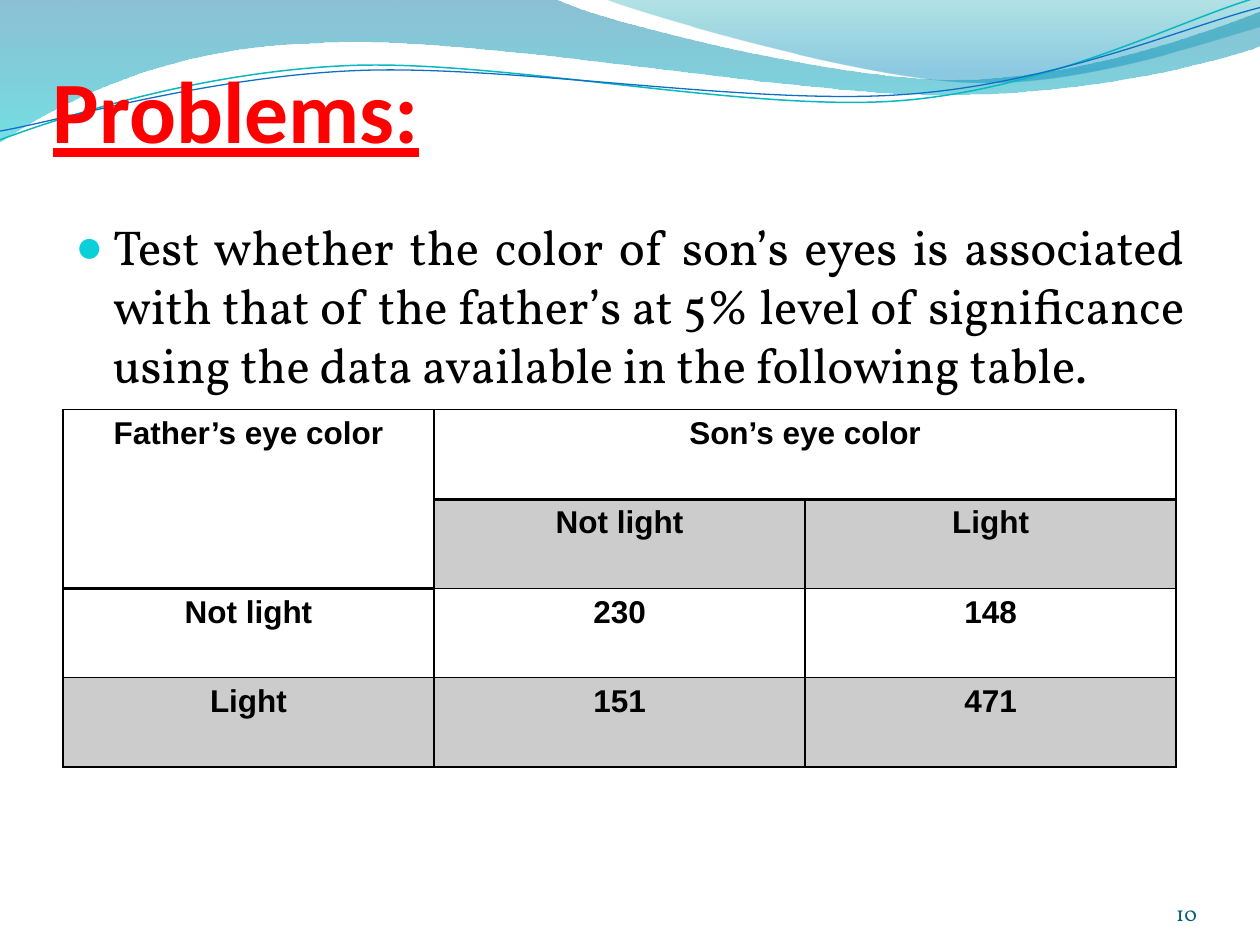
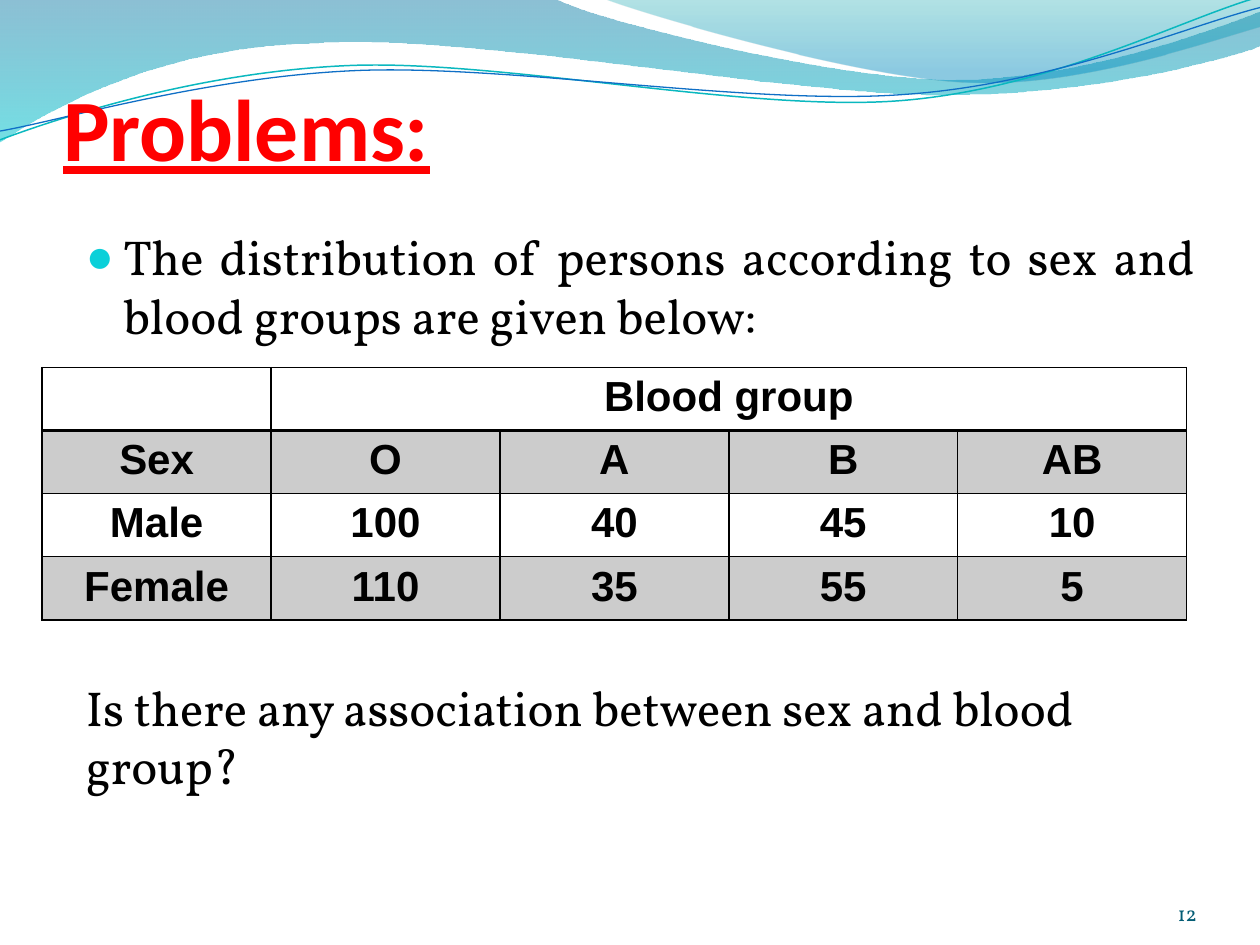
"""Two problem slides: a wave header, a justified task and a contingency table."""
from math import cos, radians, sin

from lxml import etree
from pptx import Presentation
from pptx.dml.color import RGBColor
from pptx.enum.text import MSO_ANCHOR, MSO_AUTO_SIZE, PP_ALIGN
from pptx.oxml.ns import qn
from pptx.util import Cm, Pt

LEFT, CENTER = PP_ALIGN.LEFT, PP_ALIGN.CENTER
RIGHT, JUSTIFY = PP_ALIGN.RIGHT, PP_ALIGN.JUSTIFY
TOP, BOTTOM = MSO_ANCHOR.TOP, MSO_ANCHOR.BOTTOM
NO_AUTOSIZE = MSO_AUTO_SIZE.NONE

BLACK, RED, TEAL, AQUA = "000000", "FF0000", "045D75", "0BD0D9"
SERIF, HEADING, GRID = "Vollkorn", "Calibri", "Arial"
PAGE_NUMBER_BOX = (22.02, 17.65, 2.11, 1.02)
TITLE_ONLY = 5
UNIT = 2.54  # centimetres in one unit of the wave coordinates
TILT = 357.3
TILT_CENTER = (4.99, 0.58)

# Each wave is a start point, then line ends (2 numbers) or Bezier parts (6).
BROAD_WAVE = [(0, 0), (4.4, -0.01), (4.76, 0.17, 6.64, 0.63, 7.58, 0.63),
              (8.53, 0.63, 9.58, 0.26, 10, 0.09), (10.01, 0.36),
              (9.83, 0.44, 8.7, 0.76, 7.46, 0.75),
              (6.22, 0.75, 3.82, 0.28, 2.57, 0.34),
              (1.29, 0.36, 0.46, 0.83, -0.01, 1.13), (0, 0)]
RIGHT_WAVE = [(4.79, -0.01), (5.09, 0.11, 6.82, 0.62, 7.69, 0.65),
              (8.56, 0.69, 9.61, 0.32, 10, 0.21), (10, 0), (4.79, -0.01)]
TEAL_LINE = [(0, 1.11), (0.48, 0.93, 1.58, 0.57, 2.77, 0.52),
             (3.95, 0.47, 5.93, 0.89, 7.13, 0.8),
             (8.33, 0.71, 9.38, 0.15, 9.98, -0.02)]
BLUE_LINE = [(0, 1.04), (0.47, 0.96, 1.64, 0.61, 2.83, 0.56),
             (4.03, 0.51, 5.97, 0.84, 7.17, 0.75),
             (8.36, 0.67, 9.41, 0.21, 10, 0.06)]


def color(value):
    """Turn a hex string into a colour."""
    return RGBColor.from_string(value)


def set_opacity(fill_element, percent):
    """Give the colour inside a fill or gradient stop an opacity."""
    rgb = fill_element.find(".//" + qn("a:srgbClr"))
    etree.SubElement(rgb, qn("a:alpha"), val=str(percent * 1000))


def place(shape, box):
    """Move a shape to a box of left, top, width and height in cm."""
    shape.left, shape.top, shape.width, shape.height = map(Cm, box)


def write(para, text, size, font=SERIF, ink=BLACK, align=LEFT, bold=False,
          underline=False, before=0):
    """Write one formatted span into a paragraph."""
    para.alignment = align
    para.space_before = Pt(before)
    span = para.add_run()
    span.text = text
    span.font.size, span.font.name = Pt(size), font
    span.font.bold, span.font.underline = bold, underline
    span.font.color.rgb = color(ink)


def add_bullet(para):
    """Give a paragraph a hanging round bullet."""
    properties = para._p.get_or_add_pPr()
    properties.set("marL", str(Cm(0.76)))
    properties.set("indent", str(Cm(-0.76)))
    bullet_color = etree.SubElement(properties, qn("a:buClr"))
    etree.SubElement(bullet_color, qn("a:srgbClr"), val=AQUA)
    etree.SubElement(properties, qn("a:buSzPct"), val="95000")
    etree.SubElement(properties, qn("a:buFont"), typeface=GRID)
    etree.SubElement(properties, qn("a:buChar"), char="\u25cf")


def level(point):
    """Turn a point back by the tilt, around the tilt centre."""
    angle = radians(360 - TILT)
    across, down = (value - middle for value, middle in zip(point, TILT_CENTER))
    return (TILT_CENTER[0] + across * cos(angle) - down * sin(angle),
            TILT_CENTER[1] + across * sin(angle) + down * cos(angle))


def add_wave(page, parts, tilted=False):
    """Draw one wave outline with true Bezier curves."""
    points = [part[index:index + 2] for part in parts
              for index in range(0, len(part), 2)]
    if tilted:
        points = [level(point) for point in points]
    trail = [(Cm(UNIT * x), Cm(UNIT * y)) for x, y in points]
    builder = page.shapes.build_freeform(*trail[0])
    builder.add_line_segments(trail[1:], close=not tilted)
    wave = builder.convert_to_shape()
    wave.shadow.inherit = False
    wave.rotation = TILT if tilted else 0
    segments = iter(list(wave.element.iter(qn("a:lnTo"))))
    for part in parts[1:]:
        segment = next(segments)
        if len(part) == 6:
            segment.tag = qn("a:cubicBezTo")
            for _ in range(2):
                extra = next(segments)
                segment.append(extra[0])
                extra.getparent().remove(extra)
    return wave


def add_band(page, parts, stops):
    """Draw a wave filled with a see-through gradient from top to bottom."""
    band = add_wave(page, parts)
    band.line.fill.background()
    band.fill.gradient()
    band.fill.gradient_angle = 270
    elements = band.element.iter(qn("a:gs"))
    for stop, element, (position, ink, opacity) in zip(
            band.fill.gradient_stops, elements, stops):
        stop.position = position
        stop.color.rgb = color(ink)
        set_opacity(element, opacity)
    return band


def add_stroke(page, parts, ink, width):
    """Draw a wave as a thin, tilted open line."""
    stroke = add_wave(page, parts, tilted=True)
    stroke.fill.background()
    stroke.line.color.rgb = color(ink)
    stroke.line.width = Pt(width)
    return stroke


def decorate_layout(layout, page):
    """Draw the header waves and move them behind everything on the layout."""
    waves = [
        add_band(page, BROAD_WAVE, [(0, "0074A1", 45), (1, "00C6CF", 55)]),
        add_band(page, RIGHT_WAVE, [(0, "00A1A9", 30), (0.8, "008BBF", 45)]),
        add_stroke(page, TEAL_LINE, "0AB8BF", 0.85),
        add_stroke(page, BLUE_LINE, "0F6FC6", 0.75),
    ]
    for index, wave in enumerate(waves, start=2):
        layout.shapes.element.insert(index, wave.element)


def add_title(page, box, text):
    """Format the title placeholder in the shared title style."""
    title = page.shapes.title
    place(title, box)
    frame = title.text_frame
    frame.auto_size, frame.vertical_anchor = NO_AUTOSIZE, BOTTOM
    frame.margin_left = frame.margin_right = frame.margin_bottom = 0
    frame.margin_top = Cm(0.13)
    write(frame.paragraphs[0], text, 50, HEADING, RED, bold=True, underline=True)


def add_text_box(page, box, anchor=TOP):
    """Add an empty wrapping text box and return its frame."""
    frame = page.shapes.add_textbox(*map(Cm, box)).text_frame
    frame.word_wrap = True
    frame.vertical_anchor = anchor
    return frame


def add_task(page, box, task, question=None):
    """Add the bulleted task and, below the table, an optional question."""
    frame = add_text_box(page, box)
    write(frame.paragraphs[0], task, 28, align=JUSTIFY, before=5.6)
    add_bullet(frame.paragraphs[0])
    if question:
        write(frame.add_paragraph(), question, 28, before=190)


def add_page_number(page, number):
    """Add the page number at the bottom right."""
    frame = add_text_box(page, PAGE_NUMBER_BOX, BOTTOM)
    frame.margin_left = frame.margin_right = 0
    frame.margin_top = frame.margin_bottom = 0
    write(frame.paragraphs[0], str(number), 12, ink=TEAL, align=RIGHT)


def set_borders(cell, top, bottom):
    """Draw black cell borders; the sides are 1 pt wide."""
    properties = cell._tc.get_or_add_tcPr()
    widths = {"lnL": 1, "lnR": 1, "lnT": top, "lnB": bottom}
    for index, (side, width) in enumerate(widths.items()):
        line = etree.Element(qn("a:" + side), w=str(Pt(width)))
        fill = etree.SubElement(line, qn("a:solidFill"))
        etree.SubElement(fill, qn("a:srgbClr"), val=BLACK)
        properties.insert(index, line)


def add_contingency_table(page, box, rows, size, corner_rows=1):
    """Add a table whose first row spans all columns after the corner cell."""
    last = len(rows[-1]) - 1
    table = page.shapes.add_table(len(rows), last + 1, *map(Cm, box)).table
    table.first_row = table.horz_banding = False
    table.cell(0, 1).merge(table.cell(0, last))
    if corner_rows > 1:
        table.cell(0, 0).merge(table.cell(corner_rows - 1, 0))
    for row, texts in enumerate(rows):
        for column in range(last + 1):
            cell = table.cell(row, column)
            if row % 2 and not cell.is_spanned:
                cell.fill.solid()
                cell.fill.fore_color.rgb = color(BLACK)
                set_opacity(cell._tc.tcPr, 20)
            else:
                cell.fill.background()
            header_rows = 1 if column else corner_rows
            set_borders(cell, top=2 if row == header_rows else 1,
                        bottom=2 if row < header_rows else 1)
            if column < len(texts) and texts[column]:
                write(cell.text_frame.paragraphs[0], texts[column], size,
                      GRID, align=CENTER, bold=True)


def add_eye_color_page(page):
    """Fill the slide about eye colours of fathers and sons."""
    add_title(page, (1.06, 0.07, 22.86, 3.18), "Problems:")
    add_task(page, (1.27, 4.24, 22.86, 12.19),
             "Test whether the color of son\u2019s eyes is associated with that "
             "of the father\u2019s at 5% level of significance using the data "
             "available in the following table.")
    rows = [["Father\u2019s eye color", "Son\u2019s eye color"],
            ["", "Not light", "Light"],
            ["Not light", "230", "148"],
            ["Light", "151", "471"]]
    add_contingency_table(page, (1.27, 8.26, 22.44, 7.2), rows, 18,
                          corner_rows=2)
    add_page_number(page, 10)


def add_blood_group_page(page):
    """Fill the slide about sex and blood groups."""
    add_title(page, (1.27, 0.42, 22.86, 3.18), "Problems:")
    add_task(page, (1.48, 4.45, 22.86, 12.19),
             "The distribution of persons according to sex and blood groups "
             "are given below:",
             "Is there any association between sex and blood group?")
    rows = [["", "Blood group"],
            ["Sex", "O", "A", "B", "AB"],
            ["Male", "100", "40", "45", "10"],
            ["Female", "110", "35", "55", "5"]]
    add_contingency_table(page, (0.85, 7.41, 23.07, 4.8), rows, 24)
    add_page_number(page, 12)


def main():
    """Build and save the deck."""
    deck = Presentation()
    deck.slide_width, deck.slide_height = Cm(25.4), Cm(19.05)
    layout = deck.slide_layouts[TITLE_ONLY]
    pages = [deck.slides.add_slide(layout) for _ in range(2)]
    decorate_layout(layout, pages[0])
    add_eye_color_page(pages[0])
    add_blood_group_page(pages[1])
    deck.save("out.pptx")


main()
